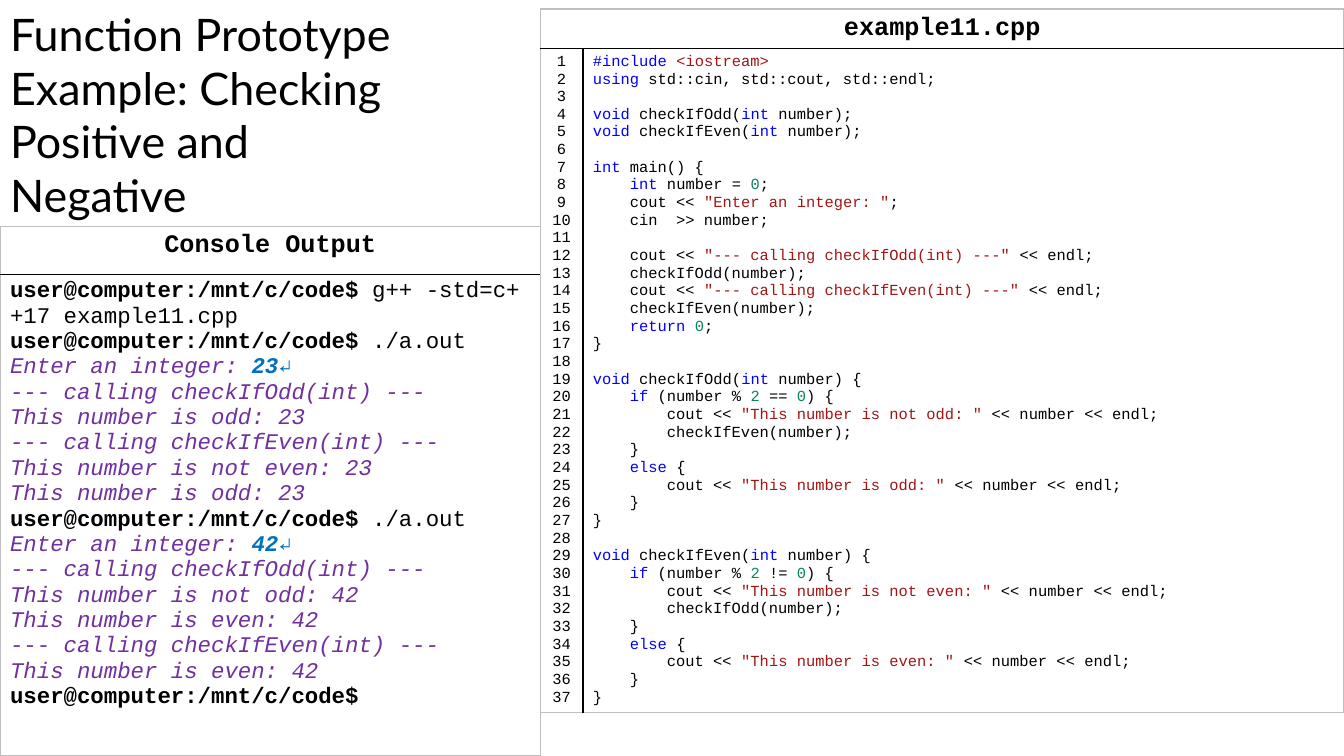
from copy import deepcopy
from dataclasses import dataclass
from itertools import groupby

from lxml.etree import SubElement
from pptx import Presentation
from pptx.dml.color import RGBColor as RGB
from pptx.enum.text import MSO_ANCHOR as ANCHOR, MSO_AUTO_SIZE as FIT, PP_ALIGN as ALIGN
from pptx.oxml.ns import qn
from pptx.util import Inches, Pt

TITLE = "Function Prototype Example: Checking Positive and Negative"

PROMPT = ("user@computer:/mnt/c/code$", "prompt")
RUN = [PROMPT, (" ./a.out", "plain")]
ASK = ("Enter an integer: ", "output")
SESSION = [
    [PROMPT, (" g++ -std=c++17 example11.cpp", "plain")],
    RUN,
    [ASK, ("23↵", "input")],
    [("--- calling checkIfOdd(int) ---", "output")],
    [("This number is odd: 23", "output")],
    [("--- calling checkIfEven(int) ---", "output")],
    [("This number is not even: 23", "output")],
    [("This number is odd: 23", "output")],
    RUN,
    [ASK, ("42↵", "input")],
    [("--- calling checkIfOdd(int) ---", "output")],
    [("This number is not odd: 42", "output")],
    [("This number is even: 42", "output")],
    [("--- calling checkIfEven(int) ---", "output")],
    [("This number is even: 42", "output")],
    [PROMPT],
]

MAIN = """\
#include <iostream>
using std::cin, std::cout, std::endl;

void checkIfOdd(int number);
void checkIfEven(int number);

int main() {
    int number = 0;
    cout << "Enter an integer: ";
    cin  >> number;

    cout << "--- calling checkIfOdd(int) ---" << endl;
    checkIfOdd(number);
    cout << "--- calling checkIfEven(int) ---" << endl;
    checkIfEven(number);
    return 0;
}
"""
ODD = """
void checkIfOdd(int number) {
    if (number % 2 == 0) {
        cout << "This number is not odd: " << number << endl;
        checkIfEven(number);
    }
    else {
        cout << "This number is odd: " << number << endl;
    }
}
"""
EVEN = """
void checkIfEven(int number) {
    if (number % 2 != 0) {
        cout << "This number is not even: " << number << endl;
        checkIfOdd(number);
    }
    else {
        cout << "This number is even: " << number << endl;
    }
}
"""
CODE = [line for part in (MAIN, ODD, EVEN) for line in part.splitlines()]
KEYWORDS = {"#include", "using", "void", "int", "return", "if", "else"}


@dataclass(frozen=True)
class Theme:
    sans: str = "Lato"
    mono: str = "Courier New"
    black: str = "000000"
    frame: str = "BFBFBF"
    title: int = 32
    head: int = 18
    shell: int = 16
    code: int = 11


T = Theme()
STYLES = {
    "plain": {},
    "prompt": {"bold": True},
    "output": {"color": "7030A0", "italic": True},
    "input": {"color": "0070C0", "italic": True, "bold": True},
    "keyword": {"color": "0000FF"},
    "string": {"color": "A31515"},
    "number": {"color": "098658"},
}


def write(par, text, size, font=T.mono, color=T.black, bold=False, italic=False):
    run = par.add_run()
    run.text = text
    face = run.font
    face.name, face.size, face.bold, face.italic = font, Pt(size), bold, italic
    face.color.rgb = RGB.from_string(color)
    return run


def lex(line):
    """Yield (token, style) pairs for one line of C++."""
    if line.startswith("#include "):
        word, file = line.split(" ")
        yield from ((word + " ", "keyword"), (file, "string"))
        return
    for i, part in enumerate(line.split('"')):
        if i % 2:
            yield f'"{part}"', "string"
            continue
        for _, chars in groupby(part, str.isalnum):
            word = "".join(chars)
            yield word, ("keyword" if word in KEYWORDS
                         else "number" if word.isdigit() else "plain")


def paint(line):
    """Join neighbouring tokens that share a style."""
    for style, group in groupby(lex(line), lambda pair: pair[1]):
        yield "".join(word for word, _ in group), style


def fill(cell, lines, size, align=ALIGN.LEFT):
    """Write styled lines; an empty line becomes a break before the next one."""
    frame, fresh, gap = cell.text_frame, True, False
    for line in lines:
        if not line:
            gap = True
            continue
        par = frame.paragraphs[0] if fresh else frame.add_paragraph()
        par.alignment = align
        if gap:
            par.add_line_break()
        for text, style in line:
            run = write(par, text, size, **STYLES[style])
            if gap:
                par._p.find(qn("a:br")).append(deepcopy(run._r.get_or_add_rPr()))
            gap = False
        fresh = False


def edge(cell, side, color, width):
    line = SubElement(cell._tc.get_or_add_tcPr(), qn(f"a:ln{side}"), w=str(Pt(width)))
    solid = SubElement(line, qn("a:solidFill"))
    SubElement(solid, qn("a:srgbClr"), val=color)


def grid(slide, left, top, cols, rows, head):
    """Add a table with a heading row, grey frame and black inner rules."""
    table = slide.shapes.add_table(
        len(rows), len(cols), Inches(left), Inches(top),
        Inches(sum(cols)), Inches(sum(rows))).table
    table.first_row = table.horz_banding = False
    for col, width in zip(table.columns, cols):
        col.width = Inches(width)
    for row, height in zip(table.rows, rows):
        row.height = Inches(height)
    for r in range(len(rows)):
        for c in range(len(cols)):
            cell = table.cell(r, c)
            outer = {"L": c == 0 or r == 0, "R": c == len(cols) - 1 or r == 0,
                     "T": r == 0, "B": r == len(rows) - 1}
            for side, out in outer.items():
                width = 1.5 if side in "LR" and not out else 1
                edge(cell, side, T.frame if out else T.black, width)
            cell.fill.background()
    if len(cols) > 1:
        table.cell(0, 0).merge(table.cell(0, len(cols) - 1))
    fill(table.cell(0, 0), [[(head, "prompt")]], T.head, ALIGN.CENTER)
    return table


def main():
    deck = Presentation()
    deck.slide_width, deck.slide_height = Inches(13.33), Inches(7.5)
    slide = deck.slides.add_slide(deck.slide_layouts[5])

    title = slide.shapes.title
    title.left, title.top = Inches(0), Inches(0.5)
    title.width, title.height = Inches(4.3), Inches(1.75)
    frame = title.text_frame
    frame.word_wrap, frame.auto_size = True, FIT.NONE
    frame.vertical_anchor = ANCHOR.BOTTOM
    par = frame.paragraphs[0]
    par.alignment = ALIGN.LEFT
    write(par, TITLE, T.title, font=T.sans)

    shell = grid(slide, 0, 2.25, [5.36], [0.47, 4.78], "Console Output")
    fill(shell.cell(1, 0), SESSION, T.shell)

    code = grid(slide, 5.36, 0.09, [0.42, 7.55], [0.39, 6.59], "example11.cpp")
    count = [[(str(n), "plain")] for n in range(1, len(CODE) + 1)]
    fill(code.cell(1, 0), count, T.code, ALIGN.CENTER)
    fill(code.cell(1, 1), [list(paint(line)) for line in CODE], T.code)

    deck.save("out.pptx")


if __name__ == "__main__":
    main()
